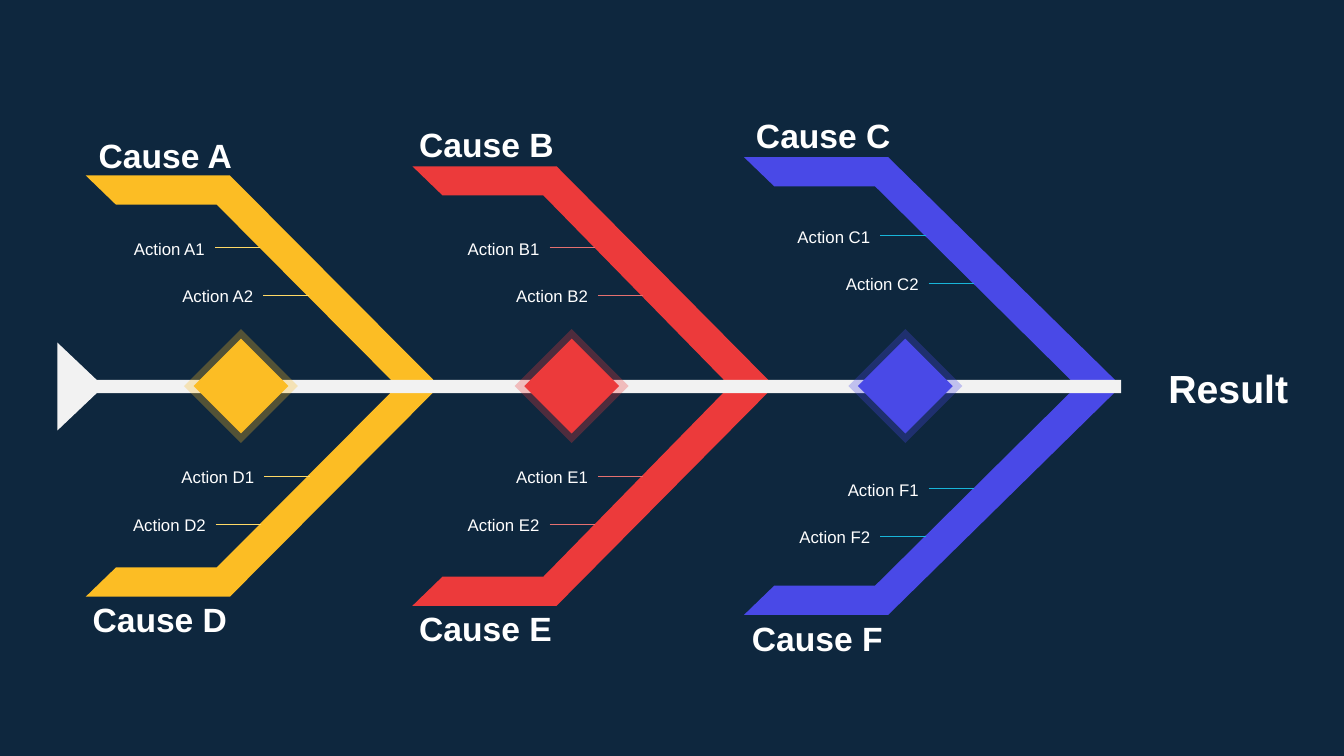
from pptx import Presentation
from pptx.dml.color import RGBColor
from pptx.enum.shapes import MSO_CONNECTOR as Connector, MSO_SHAPE as Preset
from pptx.enum.text import MSO_ANCHOR as Anchor, PP_ALIGN as Align
from pptx.oxml.ns import qn
from pptx.util import Inches, Pt
from lxml.etree import SubElement

COLORS = {
    "back": "0E273E", "white": "FFFFFF", "spine": "F2F2F2",
    "yellow": "FCBD24", "red": "EC3A3B", "blue": "4949E7",
    "pale yellow": "FFD966", "pale red": "E47070", "cyan": "18B5D9",
}
MIDLINE = 3.83
HALF_GAP = 0.04
STEP_X, STEP_Y = 0.48, 0.47
TEXT_WIDTH, CAUSE_WIDTH, TEXT_HEIGHT = 1.52, 1.97, 0.41


class Fishbone:
    """Draws the elements of a cause and effect diagram on one slide in one style."""

    def __init__(self, slide, font):
        self.slide = slide
        self.shapes = slide.shapes
        self.font = font

    def color(self, name):
        return RGBColor.from_string(COLORS[name])

    def background(self, name):
        fill = self.slide.background.fill
        fill.solid()
        fill.fore_color.rgb = self.color(name)

    def paint(self, shape, name, alpha=None):
        shape.shadow.inherit = False
        shape.fill.solid()
        shape.fill.fore_color.rgb = self.color(name)
        shape.line.fill.background()
        if alpha is not None:
            tint = shape.fill._xPr.find(qn("a:solidFill"))[0]
            SubElement(tint, qn("a:alpha"), val=str(alpha * 1000))

    def outline(self, points, name):
        corners = [(Inches(x), Inches(y)) for x, y in points]
        builder = self.shapes.build_freeform(*corners[0], scale=1.0)
        builder.add_line_segments(corners[1:], close=True)
        self.paint(builder.convert_to_shape(), name)

    def diamond(self, center, size, name, alpha=None):
        left, top = center - size / 2, MIDLINE - size / 2
        shape = self.shapes.add_shape(
            Preset.DIAMOND, Inches(left), Inches(top), Inches(size), Inches(size))
        self.paint(shape, name, alpha)

    def text(self, words, left, top, width, size, bold=False, align=Align.LEFT):
        box = self.shapes.add_textbox(
            Inches(left), Inches(top), Inches(width), Inches(TEXT_HEIGHT))
        frame = box.text_frame
        frame_format = {"word_wrap": True, "vertical_anchor": Anchor.MIDDLE}
        for side in ("left", "right", "top", "bottom"):
            frame_format["margin_" + side] = Inches(0.1)
        for key, value in frame_format.items():
            setattr(frame, key, value)
        para = frame.paragraphs[0]
        para.alignment = align
        span = para.add_run()
        span.text = words
        for key, value in {"name": self.font, "size": Pt(size), "bold": bold}.items():
            setattr(span.font, key, value)
        span.font.color.rgb = self.color("white")

    def line(self, left, y, length, name):
        connector = self.shapes.add_connector(
            Connector.STRAIGHT, Inches(left), Inches(y), Inches(left + length), Inches(y))
        connector.line.color.rgb = self.color(name)
        connector.line.width = Pt(0.75)
        SubElement(connector._element.spPr, qn("a:effectLst"))

    def bone(self, left, rise, joint, name, side):
        inner, outer = joint
        profile = [
            (left, rise), (left + 0.3, rise - 0.29), (left + 1.3, rise - 0.29),
            (inner, HALF_GAP), (outer, HALF_GAP), (left + 1.43, rise),
        ]
        self.outline([(x, MIDLINE + side * y) for x, y in profile], name)

    def action(self, words, left, y, name):
        self.text(words, left, y - 0.2, TEXT_WIDTH, 12, align=Align.RIGHT)
        self.line(left + TEXT_WIDTH, y, 0.45, name)


deck = Presentation()
deck.slide_width, deck.slide_height = Inches(13.33), Inches(7.5)
page = deck.slides.add_slide(deck.slide_layouts[6])
fish = Fishbone(page, "Arial")
fish.background("back")

UPPER, LOWER = -1, 1
branches = [
    {"color": "blue", "tick": "cyan", "left": 7.38, "rise": 2.27, "joint": (10.64, 11.08),
     "reach": 1.49, "center": 8.98,
     "causes": [("C", UPPER, 7.4, 1.13, 7.21), ("F", LOWER, 7.36, 6.12, 7.21)]},
    {"color": "red", "tick": "pale red", "left": 4.09, "rise": 2.18, "joint": (7.2, 7.64),
     "reach": 1.37, "center": 5.67,
     "causes": [("B", UPPER, 4.06, 1.22, 3.93), ("E", LOWER, 4.06, 6.03, 3.93)]},
    {"color": "yellow", "tick": "pale yellow", "left": 0.85, "rise": 2.09, "joint": (3.9, 4.32),
     "reach": 1.37, "center": 2.39,
     "causes": [("A", UPPER, 0.88, 1.33, 0.61), ("D", LOWER, 0.82, 5.94, 0.62)]},
]

for branch in branches:
    for letter, side, cause_left, cause_top, action_left in branch["causes"]:
        fish.bone(branch["left"], branch["rise"], branch["joint"], branch["color"], side)
        fish.text(f"Cause {letter}", cause_left, cause_top, CAUSE_WIDTH, 24, bold=True)
        for number in (1, 2):
            inward = number - 1 if side == UPPER else 2 - number
            y = MIDLINE + side * (branch["reach"] - inward * STEP_Y)
            fish.action(f"Action {letter}{number}", action_left + inward * STEP_X, y,
                        branch["tick"])

fish.outline([(0.57, 3.4), (0.57, 4.27), (0.96, 3.9), (11.12, 3.9), (11.12, 3.77),
              (0.96, 3.77)], "spine")
for branch in branches:
    fish.diamond(branch["center"], 1.13, branch["color"], alpha=29)
    fish.diamond(branch["center"], 0.94, branch["color"])
fish.text("Result", 11.49, 3.64, TEXT_WIDTH, 28, bold=True)

deck.save("out.pptx")
